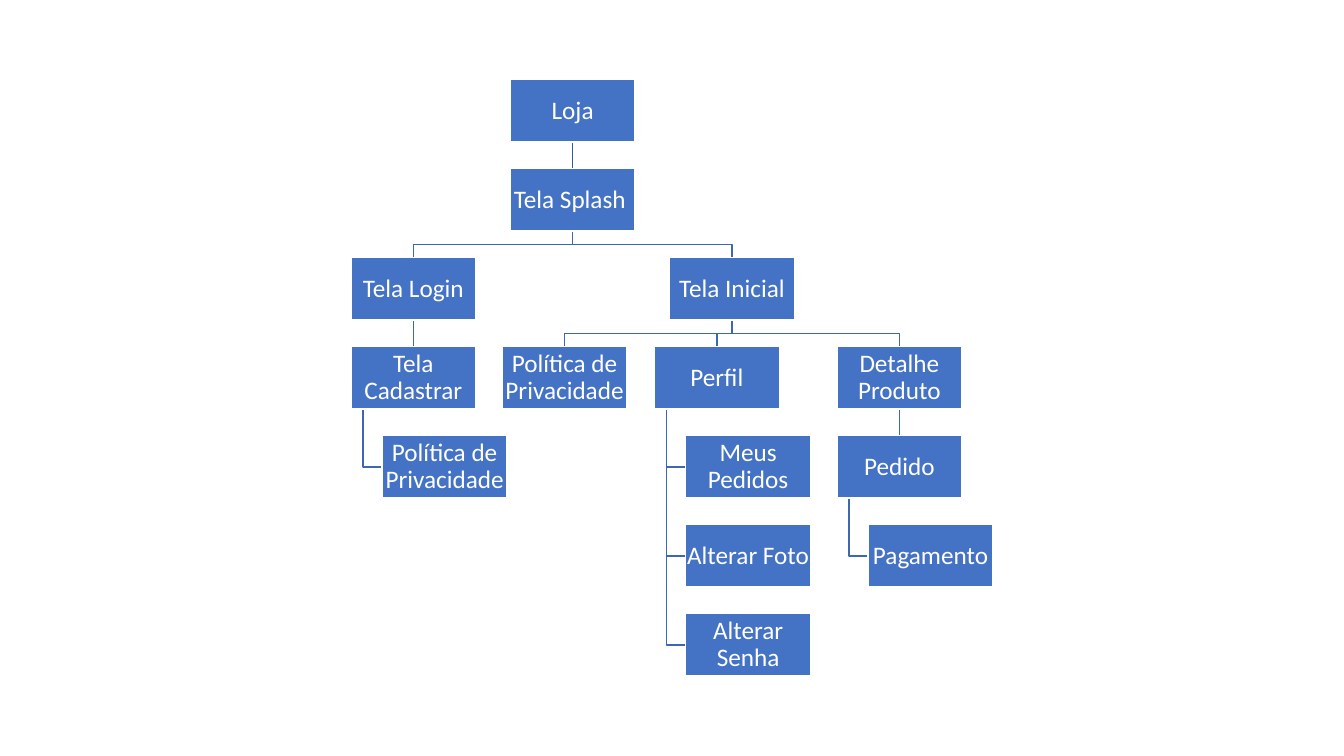
from collections import namedtuple

from lxml.etree import SubElement
from pptx import Presentation
from pptx.dml.color import RGBColor
from pptx.enum.shapes import MSO_CONNECTOR as Connector, MSO_SHAPE as Shape
from pptx.enum.text import MSO_ANCHOR as Anchor, PP_ALIGN as Align
from pptx.oxml.ns import qn
from pptx.util import Inches, Pt

COLORS = {"box": "4472C4", "text": "FFFFFF", "root_link": "365B9D", "link": "3E67B2"}
BOX_WIDTH, BOX_HEIGHT = 1.24, 0.62
TOP, ROW_STEP = 0.79, 0.883
HANG_INDENT, HANG_STEM = 0.31, 0.12

# A screen with no left edge hangs from the side of its parent.
Screen = namedtuple("Screen", "text row left parent")
SCREENS = {
    "store": Screen("Loja", 0, 5.06, None),
    "splash": Screen("Tela Splash ", 1, 5.06, "store"),
    "login": Screen("Tela Login", 2, 3.48, "splash"),
    "register": Screen("Tela Cadastrar", 3, 3.48, "login"),
    "register_privacy": Screen("Política de Privacidade", 4, None, "register"),
    "home": Screen("Tela Inicial", 2, 6.64, "splash"),
    "home_privacy": Screen("Política de Privacidade", 3, 4.98, "home"),
    "profile": Screen("Perfil", 3, 6.49, "home"),
    "my_orders": Screen("Meus Pedidos", 4, None, "profile"),
    "change_photo": Screen("Alterar Foto", 5, None, "profile"),
    "change_password": Screen("Alterar Senha", 6, None, "profile"),
    "product": Screen("Detalhe Produto", 3, 8.3, "home"),
    "order": Screen("Pedido", 4, 8.3, "product"),
    "payment": Screen("Pagamento", 5, None, "order"),
}


def position(screen):
    """Return the left and top of a screen's box in inches."""
    left = screen.left
    if left is None:
        left = position(SCREENS[screen.parent])[0] + HANG_INDENT
    return left, TOP + screen.row * ROW_STEP


def route(screen):
    """Return the points of the link from the parent to a screen."""
    left, top = position(screen)
    parent_left, parent_top = position(SCREENS[screen.parent])
    start_y = parent_top + BOX_HEIGHT
    if screen.left is None:
        stem_x, end_y = parent_left + HANG_STEM, top + BOX_HEIGHT / 2
        return [(stem_x, start_y), (stem_x, end_y), (left, end_y)]
    start_x, end_x = parent_left + BOX_WIDTH / 2, left + BOX_WIDTH / 2
    if start_x == end_x:
        return [(start_x, start_y), (end_x, top)]
    middle_y = (start_y + top) / 2
    return [(start_x, start_y), (start_x, middle_y), (end_x, middle_y), (end_x, top)]


class ChartPainter:
    """Holds the style and the slide that is being drawn."""

    def __init__(self, slide, font="Calibri", size=18):
        """Keep the slide, the font and the text size."""
        self.slide, self.font, self.size = slide, font, size

    def color(self, name):
        """Look up a named colour."""
        return RGBColor.from_string(COLORS[name])

    def outline(self, shape, color):
        """Give a shape or connector a thin line."""
        shape.line.color.rgb = self.color(color)
        shape.line.width = Pt(1)

    def link(self, points, color):
        """Draw a straight connector or a bent open line."""
        corners = [(Inches(x), Inches(y)) for x, y in points]
        if len(corners) == 2:
            connector = self.slide.shapes.add_connector(
                Connector.STRAIGHT, *corners[0], *corners[1])
            self.outline(connector, color)
            SubElement(connector._element.spPr, qn("a:effectLst"))
            return
        builder = self.slide.shapes.build_freeform(*corners[0])
        builder.add_line_segments(corners[1:], close=False)
        shape = builder.convert_to_shape()
        shape.fill.background()
        shape.shadow.inherit = False
        self.outline(shape, color)

    def box(self, left, top, text):
        """Draw a filled box with centred text."""
        shape = self.slide.shapes.add_shape(
            Shape.RECTANGLE, Inches(left), Inches(top),
            Inches(BOX_WIDTH), Inches(BOX_HEIGHT))
        shape.shadow.inherit = False
        shape.fill.solid()
        shape.fill.fore_color.rgb = self.color("box")
        self.outline(shape, "text")
        frame = shape.text_frame
        frame.word_wrap = True
        frame.vertical_anchor = Anchor.MIDDLE
        frame.margin_left = frame.margin_right = Inches(0.01)
        frame.margin_top = frame.margin_bottom = Inches(0.01)
        paragraph = frame.paragraphs[0]
        paragraph.alignment = Align.CENTER
        paragraph.line_spacing = 0.9
        run = paragraph.add_run()
        run.text = text
        run.font.name = self.font
        run.font.size = Pt(self.size)
        run.font.color.rgb = self.color("text")


def main():
    """Build the screen map and save it."""
    presentation = Presentation()
    presentation.slide_width = Inches(13.33)
    presentation.slide_height = Inches(7.5)
    blank_layout = presentation.slide_layouts[6]
    painter = ChartPainter(presentation.slides.add_slide(blank_layout))
    for screen in SCREENS.values():
        if screen.parent:
            color = "root_link" if screen.parent == "store" else "link"
            painter.link(route(screen), color)
    for screen in SCREENS.values():
        painter.box(*position(screen), screen.text)
    presentation.save("out.pptx")


main()
